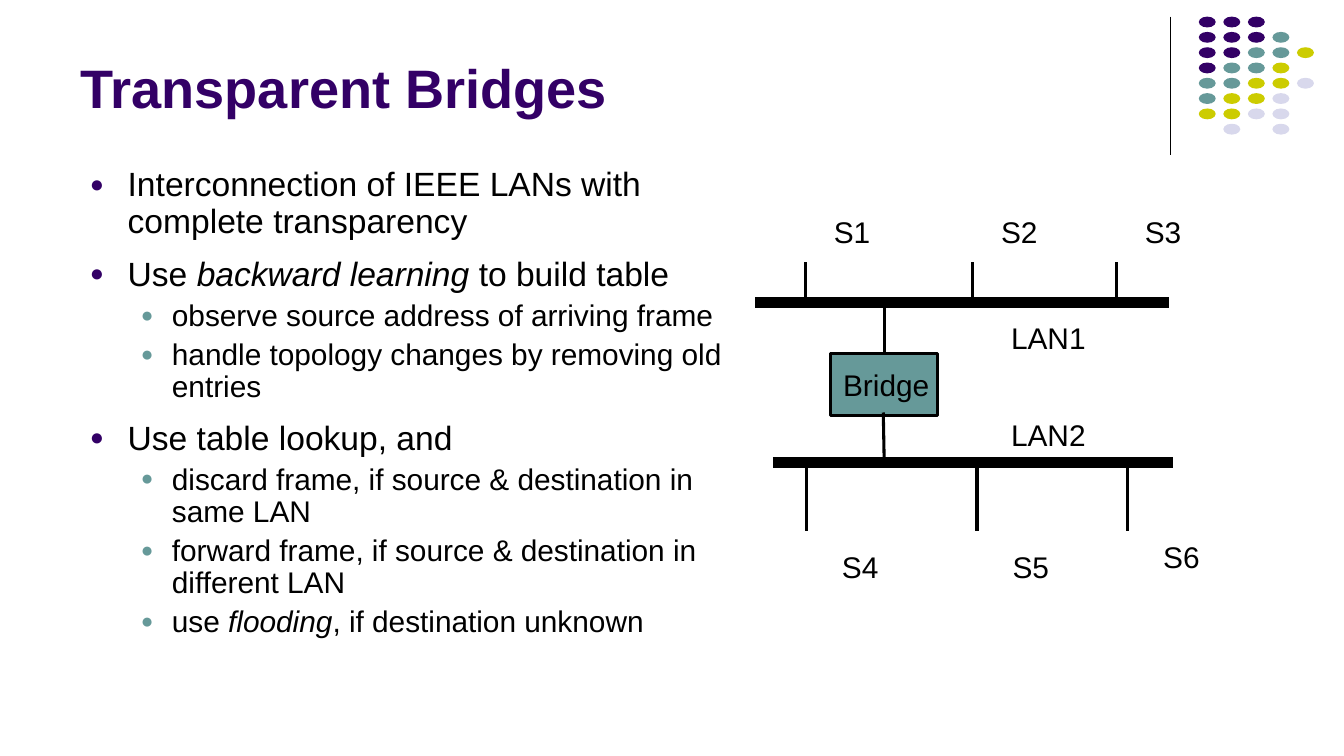
from lxml.etree import SubElement
from pptx import Presentation
from pptx.dml.color import RGBColor
from pptx.enum.shapes import MSO_CONNECTOR, MSO_SHAPE
from pptx.enum.text import MSO_ANCHOR, PP_ALIGN
from pptx.oxml.ns import qn
from pptx.util import Pt

FONT = "Arial"
COLORS = {
    "purple": "330066",
    "teal": "669999",
    "olive": "CCCC00",
    "lavender": "D8D8EC",
    "black": "000000",
}

# One letter per dot, one string per row
DOT_ROWS = ["PPP", "PPPT", "PPTTO", "PTTO", "TTOOL", "TOOL", "OOLL", " L L"]
DOT_COLORS = {"P": "purple", "T": "teal", "O": "olive", "L": "lavender"}

# (level, runs); every second run is italic
BULLETS = [
    (0, ["Interconnection of IEEE LANs with complete transparency"]),
    (0, ["Use ", "backward learning", " to build table"]),
    (1, ["observe source address of arriving frame"]),
    (1, ["handle topology changes by removing old entries"]),
    (0, ["Use table lookup, and"]),
    (1, ["discard frame, if source & destination in same LAN"]),
    (1, ["forward frame, if source & destination in different LAN"]),
    (1, ["use ", "flooding", ", if destination unknown"]),
]
# Per level: size, space before, left indent, hanging indent, bullet colour
LEVELS = [(18, 9, 20.2, 20.2, "purple"), (16, 3.7, 43.9, 16.6, "teal")]


def rgb(name):
    return RGBColor.from_string(COLORS[name])


def add_line(shapes, x1, y1, x2, y2, width):
    line = shapes.add_connector(
        MSO_CONNECTOR.STRAIGHT, Pt(x1), Pt(y1), Pt(x2), Pt(y2))
    line.line.color.rgb = rgb("black")
    line.line.width = Pt(width)
    SubElement(line._element.spPr, qn("a:effectLst"))


def add_filled(shapes, preset, left, top, width, height, color):
    shape = shapes.add_shape(preset, Pt(left), Pt(top), Pt(width), Pt(height))
    shape.shadow.inherit = False
    shape.fill.solid()
    shape.fill.fore_color.rgb = rgb(color)
    shape.line.fill.background()
    return shape


def add_text_frame(shapes, left, top, width, height, inset_x, inset_y, wrap=True):
    frame = shapes.add_textbox(
        Pt(left), Pt(top), Pt(width), Pt(height)).text_frame
    frame.word_wrap = wrap
    frame.margin_left = frame.margin_right = Pt(inset_x)
    frame.margin_top = frame.margin_bottom = Pt(inset_y)
    return frame


def style(font, size, color="black", bold=False):
    font.name = FONT
    font.size = Pt(size)
    font.bold = bold
    font.color.rgb = rgb(color)


def add_label(shapes, text, left, top, width):
    frame = add_text_frame(shapes, left, top, width, 20.2, 0, 0, wrap=False)
    frame.text = text
    label = frame.paragraphs[0]
    label.alignment = PP_ALIGN.CENTER
    style(label.runs[0].font, 16)


def add_dot_ornament(slide, left, top, height):
    add_line(slide.shapes, left, top, left, top + height, 0.75)
    dots = slide.shapes.add_group_shape().shapes
    for row, pattern in enumerate(DOT_ROWS):
        for column, letter in enumerate(pattern):
            if letter in DOT_COLORS:
                add_filled(dots, MSO_SHAPE.OVAL, left + 15.1 + column * 13.15,
                           top + row * 8.2, 9.1, 5.8, DOT_COLORS[letter])


def add_title(slide, left, top, width, height):
    frame = add_text_frame(slide.shapes, left, top, width, height, 7.2, 3.6)
    frame.vertical_anchor = MSO_ANCHOR.BOTTOM
    frame.text = "Transparent Bridges"
    style(frame.paragraphs[0].runs[0].font, 29, "purple", bold=True)


def add_bullet(paragraph, left, hanging, color):
    properties = paragraph._p.get_or_add_pPr()
    properties.set("marL", str(Pt(left)))
    properties.set("indent", str(-Pt(hanging)))
    bullet_color = SubElement(properties, qn("a:buClr"))
    SubElement(bullet_color, qn("a:srgbClr"), val=COLORS[color])
    SubElement(properties, qn("a:buSzPct"), val="70000")
    SubElement(properties, qn("a:buFont"), typeface=FONT)
    SubElement(properties, qn("a:buChar"), char="●")


def add_bullets(slide, left, top, width, height):
    frame = add_text_frame(slide.shapes, left, top, width, height, 5, 2.9)
    for index, (level, texts) in enumerate(BULLETS):
        size, space, indent, hanging, color = LEVELS[level]
        point = frame.add_paragraph() if index else frame.paragraphs[0]
        add_bullet(point, indent, hanging, color)
        point.level = level
        point.line_spacing = 0.9
        point.space_before = Pt(space if index else 0)
        for position, text in enumerate(texts):
            run = point.add_run()
            run.text = text
            style(run.font, size)
            run.font.italic = position % 2 == 1


def add_network(slide, left, top):
    """Two LANs joined by a bridge, with their stations."""
    shapes = slide.shapes.add_group_shape().shapes

    def line(x1, y1, x2, y2, width=1.63):
        add_line(shapes, left + x1, top + y1, left + x2, top + y2, width)

    def label(text, x, y, width):
        add_label(shapes, text, left + x, top + y, width)

    line(0, 47.5, 221.8, 47.5, 6.25)
    line(9.4, 133.2, 224, 133.2, 6.25)

    bridge = add_filled(shapes, MSO_SHAPE.RECTANGLE,
                        left + 40.3, top + 74.9, 57.6, 33.1, "teal")
    bridge.line.color.rgb = rgb("black")
    bridge.line.width = Pt(1.63)
    line(69.1, 74.9, 69.1, 46.1)
    line(68.6, 106.5, 69.1, 133.9)
    label("Bridge", 46.1, 82.1, 48.2)

    for name, x in [("S1", 27), ("S2", 116.6), ("S3", 193.6)]:
        line(x, 25.9, x, 48.2)
        label(name, x + 14.8, 0, 20.2)
    for name, x, y in [("S4", 27.4, 179.3), ("S5", 118.8, 179.3),
                       ("S6", 199.5, 174.2)]:
        line(x, 133.9, x, 169.9)
        label(name, x + 18.7, y, 20.2)

    label("LAN1", 136.1, 56.9, 41.8)
    label("LAN2", 136.1, 108.7, 41.8)


def main():
    presentation = Presentation()
    presentation.slide_width = Pt(720)
    presentation.slide_height = Pt(405)
    slide = presentation.slides.add_slide(presentation.slide_layouts[6])
    add_dot_ornament(slide, 627.1, 8.9, 74)
    add_bullets(slide, 43.2, 87.1, 349.2, 264.2)
    add_title(slide, 36, 7.2, 594, 60.5)
    add_network(slide, 404.6, 114.5)
    presentation.save("out.pptx")


if __name__ == "__main__":
    main()
